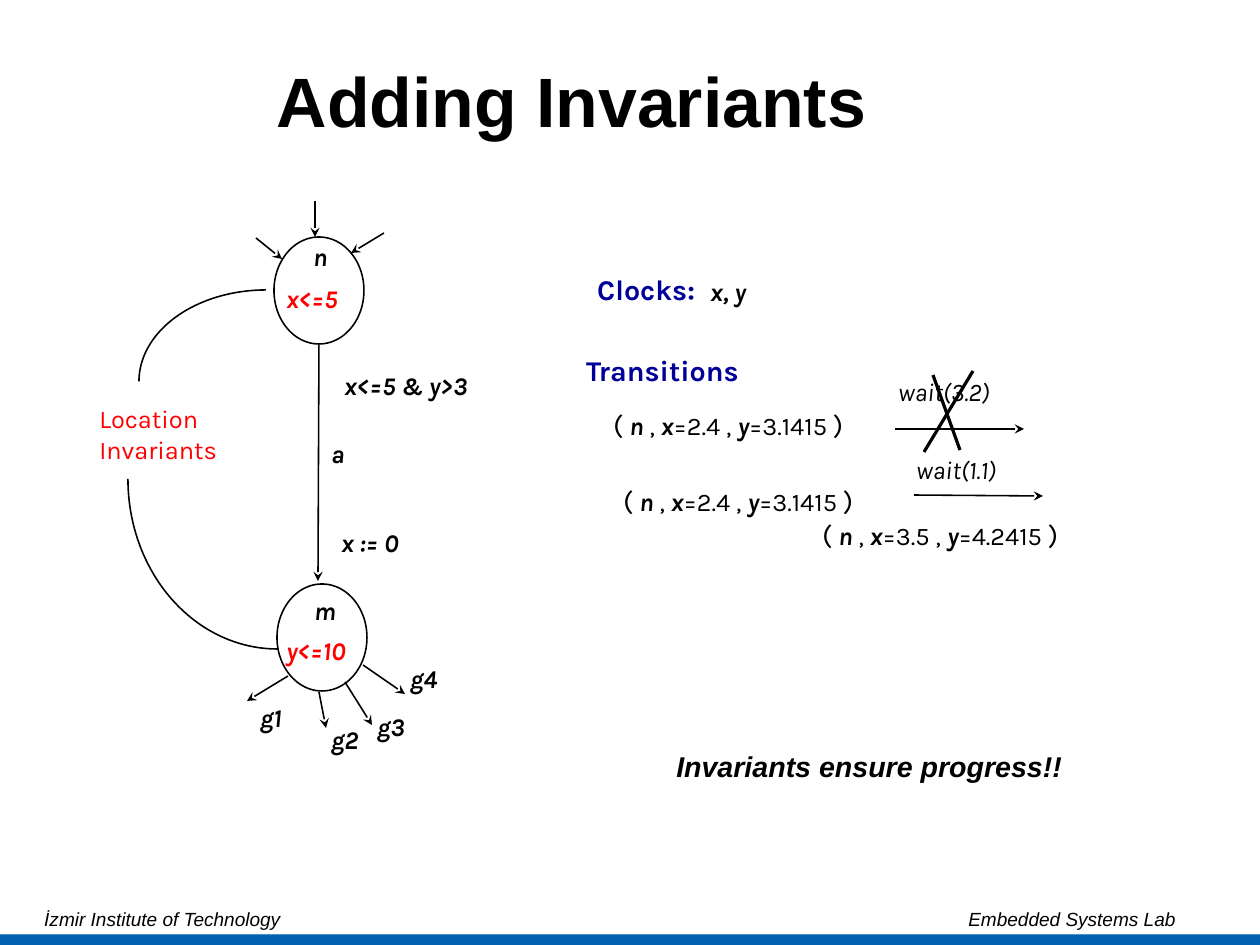
import pptx
import pptx.dml.color
import pptx.enum.shapes
import pptx.enum.text
import pptx.oxml.ns
import pptx.util
from lxml import etree

PX = 8000  # EMU per px
BLACK = pptx.dml.color.RGBColor(0x00, 0x00, 0x00)
RED = pptx.dml.color.RGBColor(0xFF, 0x00, 0x00)
NAVY = pptx.dml.color.RGBColor(0x00, 0x00, 0x99)
BAR_BLUE = pptx.dml.color.RGBColor(0x00, 0x62, 0xB1)

SHAPES = pptx.enum.shapes.MSO_SHAPE
ALIGN = pptx.enum.text.PP_ALIGN
qn = pptx.oxml.ns.qn

PLAIN = {"name": "Karla", "size": pptx.util.Pt(16), "bold": False, "italic": False}
ITALIC = {**PLAIN, "italic": True}
STRONG = {**ITALIC, "bold": True}
BRACKET = {**PLAIN, "size": pptx.util.Pt(18)}
HEADING = {**BRACKET, "bold": True}
REMARK = {**HEADING, "name": "Arial", "italic": True}
FOOTER = {**ITALIC, "name": "Arial", "size": pptx.util.Pt(12)}
TITLE = {"name": "Arial", "size": pptx.util.Pt(44), "bold": True}

presentation = pptx.Presentation()
presentation.slide_width = 1260 * PX
presentation.slide_height = 945 * PX
slide = presentation.slides.add_slide(presentation.slide_layouts[5])


def add_label(box, paragraphs, color=BLACK, alignment=ALIGN.LEFT):
    """Add a text box; each paragraph is a list of (text, format) runs."""
    frame = slide.shapes.add_textbox(*[length * PX for length in box]).text_frame
    frame.word_wrap = True
    for index, runs in enumerate(paragraphs):
        paragraph = frame.add_paragraph() if index else frame.paragraphs[0]
        paragraph.alignment = alignment
        for text, format_values in runs:
            run = paragraph.add_run()
            run.text = text
            run.font.color.rgb = color
            for name, value in format_values.items():
                setattr(run.font, name, value)


def add_line(points, width=1, arrow=True):
    connector = slide.shapes.add_connector(
        pptx.enum.shapes.MSO_CONNECTOR.STRAIGHT, *[point * PX for point in points])
    connector.line.color.rgb = BLACK
    connector.line.width = pptx.util.Pt(width)
    if arrow:
        line = connector.line._get_or_add_ln()
        etree.SubElement(line, qn("a:tailEnd"), type="stealth")
    properties = connector._element.spPr
    etree.SubElement(properties, qn("a:effectLst"))


# Title
title = slide.shapes.title
for name, value in {"left": 86, "top": 38, "width": 972, "height": 143}.items():
    setattr(title, name, value * PX)
title.text_frame.text = "Adding Invariants"
title.text_frame.vertical_anchor = pptx.enum.text.MSO_ANCHOR.MIDDLE
title_paragraph = title.text_frame.paragraphs[0]
title_paragraph.alignment = ALIGN.CENTER
title_paragraph.line_spacing = 0.72
title_paragraph.font.color.rgb = BLACK
for name, value in TITLE.items():
    setattr(title_paragraph.font, name, value)

# Bottom bar
bar = slide.shapes.add_shape(
    SHAPES.ROUNDED_RECTANGLE, 0, 935 * PX, 1260 * PX, 10 * PX)
bar.adjustments[0] = 0.02
bar.shadow.inherit = False
bar.fill.solid()
bar.fill.fore_color.rgb = BAR_BLUE
bar.line.color.rgb = BAR_BLUE
bar.line.width = pptx.util.Pt(0.75)

# Locations n and m, and the arcs from them to the red caption
for kind, box, angles in [
    (SHAPES.OVAL, (274, 237, 90, 107), ()),
    (SHAPES.OVAL, (277, 584, 90, 107), ()),
    (SHAPES.ARC, (139, 290, 254, 183), (180, 270)),
    (SHAPES.ARC, (128, 309, 299, 340), (90, 180)),
]:
    outline = slide.shapes.add_shape(kind, *[length * PX for length in box])
    for index, degrees in enumerate(angles):
        outline.adjustments[index] = degrees * 0.6
    outline.shadow.inherit = False
    outline.fill.background()
    outline.line.color.rgb = BLACK
    outline.line.width = pptx.util.Pt(1)

# Arrows: edge n to m, into n, out of m, and the two waits
for points in [
    (319, 345, 318, 581),
    (256, 238, 282, 259), (384, 233, 351, 253), (315, 201, 315, 237),
    (288, 676, 247, 701), (319, 692, 326, 728),
    (345, 682, 372, 725), (363, 665, 405, 694),
    (895, 429, 1024, 429), (914, 495, 1043, 496),
]:
    add_line(points)

# Cross over the forbidden wait
for points in [(924, 452, 973, 371), (933, 375, 960, 450)]:
    add_line(points, width=2, arrow=False)

# Automaton labels
for text, left, top, color in [
    ("n", 302, 236, BLACK), ("x<=5", 275, 277, RED),
    ("m", 303, 589, BLACK), ("y<=10", 275, 629, RED),
    ("x<=5 & y>3", 333, 364, BLACK), ("a", 320, 432, BLACK),
    ("x := 0", 330, 521, BLACK),
    ("g1", 249, 696, BLACK), ("g2", 320, 718, BLACK),
    ("g3", 366, 705, BLACK), ("g4", 399, 657, BLACK),
]:
    add_label((left, top, 35 + 13 * len(text), 42), [[(text, STRONG)]], color)

add_label((88, 398, 150, 73),
          [[("Location", PLAIN)], [("Invariants", PLAIN)]], RED)

# Clocks and transitions
add_label((586, 266, 130, 46), [[("Clocks:", HEADING)]], NAVY)
add_label((699, 270, 80, 42), [[("x, y", STRONG)]])
add_label((575, 347, 190, 46), [[("Transitions", HEADING)]], NAVY)

for left, top, x_value, y_value in [
    (602, 401, "2.4", "3.1415"),
    (612, 477, "2.4", "3.1415"),
    (811, 511, "3.5", "4.2415"),
]:
    add_label((left, top, 290, 46), [[
        ("(", BRACKET), (" ", PLAIN), ("n", STRONG), (" , ", PLAIN),
        ("x", STRONG), (f"={x_value} , ", PLAIN),
        ("y", STRONG), (f"={y_value} ", PLAIN), (")", BRACKET),
    ]])

for text, left, top in [("wait(3.2)", 887, 371), ("wait(1.1)", 905, 448)]:
    add_label((left, top, 140, 42), [[(text, ITALIC)]])

add_label((665, 743, 420, 46), [[("Invariants ensure progress!!", REMARK)]])

# Footer
add_label((33, 902, 400, 34), [[("İzmir Institute of Technology", FOOTER)]])
add_label((787, 902, 400, 34), [[("Embedded Systems Lab", FOOTER)]],
          alignment=ALIGN.RIGHT)

presentation.save("out.pptx")
